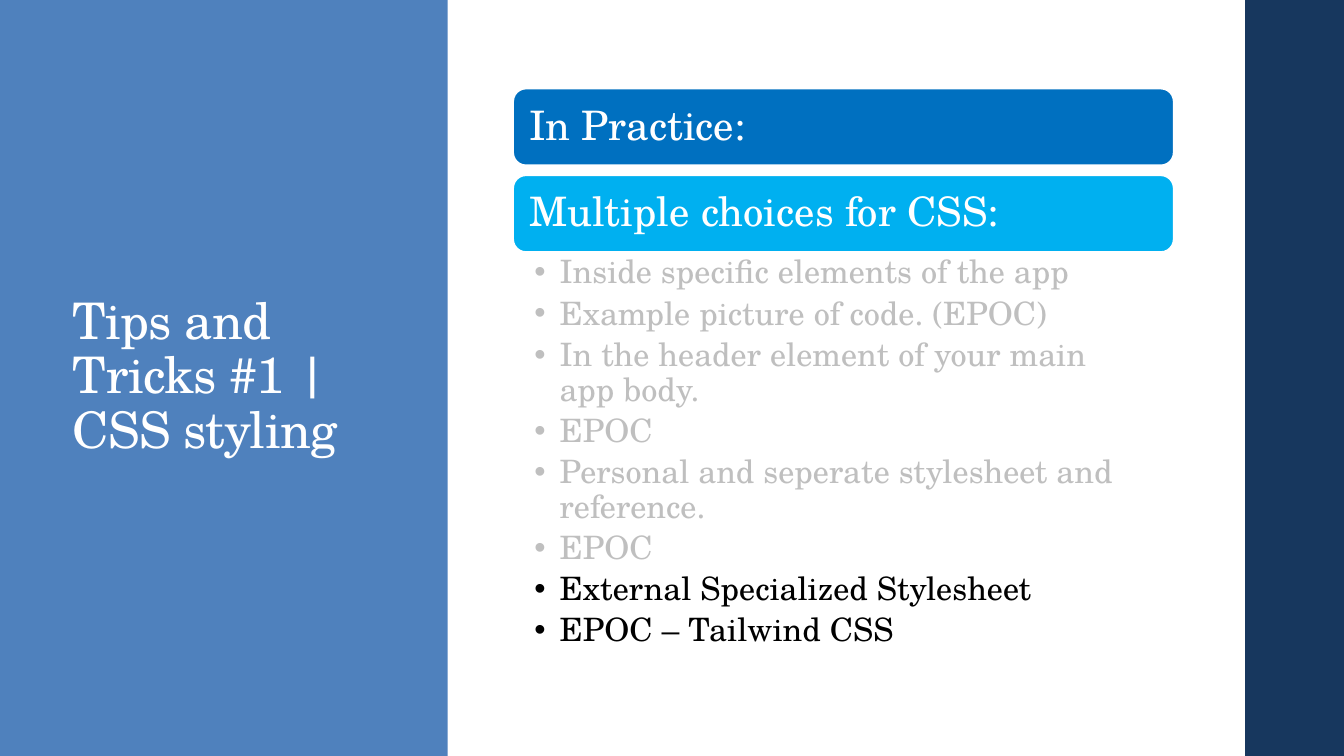
import pptx
import pptx.dml.color
import pptx.enum.shapes
import pptx.enum.text
import pptx.oxml
import pptx.oxml.ns
import pptx.util

Inches = pptx.util.Inches
Pt = pptx.util.Pt
Anchor = pptx.enum.text.MSO_ANCHOR
Shape = pptx.enum.shapes.MSO_SHAPE

COLORS = {
    "panel": "4F81BD",
    "strip": "17375E",
    "practice": "0070C0",
    "choices": "00B0F0",
    "white": "FFFFFF",
    "faded": "BFBFBF",
    "black": "000000",
}


def color(name):
    return pptx.dml.color.RGBColor.from_string(COLORS[name])


def write(para, text, size, ink, font="TeX Gyre Schola", after=0, spacing=None):
    """Put formatted text into a paragraph."""
    para.alignment = pptx.enum.text.PP_ALIGN.LEFT
    para.line_spacing = 0.9
    para.space_before = Pt(0)
    para.space_after = Pt(after)
    span = para.add_run()
    span.text = text
    span.font.name = font
    span.font.size = Pt(size)
    span.font.color.rgb = color(ink)
    if spacing is not None:
        span.font._element.set("spc", str(round(spacing * 100)))


class TipsSlide:
    """Holds the slide and draws its elements in one style."""

    def __init__(self, deck):
        self.page = deck.slides.add_slide(deck.slide_layouts[1])

    def block(self, kind, place, fill, outline=None):
        box = self.page.shapes.add_shape(kind, *map(Inches, place))
        box.shadow.inherit = False
        box.fill.solid()
        box.fill.fore_color.rgb = color(fill)
        if outline:
            box.line.color.rgb = color(outline)
            box.line.width = Pt(1.1)
        else:
            box.line.fill.background()
        return box

    def frame(self, box, anchor, margins):
        frame = box.text_frame
        frame.word_wrap = True
        frame.auto_size = pptx.enum.text.MSO_AUTO_SIZE.NONE
        frame.vertical_anchor = anchor
        (frame.margin_left, frame.margin_top,
         frame.margin_right, frame.margin_bottom) = map(Inches, margins)
        return frame

    def placeholder(self, index, place):
        box = self.page.placeholders[index]
        box.left, box.top, box.width, box.height = map(Inches, place)
        # Bring it in front of the colour blocks
        self.page.shapes._spTree.append(box._element)
        return box

    def title(self, text, place):
        box = self.placeholder(0, place)
        frame = self.frame(box, Anchor.MIDDLE, (0.1, 0.05, 0.1, 0.05))
        write(frame.paragraphs[0], text, 36, "white", spacing=-0.5)

    def bar(self, text, place, fill):
        box = self.block(Shape.ROUNDED_RECTANGLE, place, fill, "white")
        frame = self.frame(box, Anchor.MIDDLE, (0.12,) * 4)
        write(frame.paragraphs[0], text, 29, "white")

    def bullets(self, items, place):
        box = self.placeholder(1, place)
        frame = self.frame(box, Anchor.TOP, (0.21, 0.04, 0.23, 0.04))
        for number, (text, ink) in enumerate(items):
            para = frame.add_paragraph() if number else frame.paragraphs[0]
            write(para, text, 23, ink, after=4.6)
            props = para._element.get_or_add_pPr()
            props.set("marL", str(Inches(0.25)))
            props.set("indent", str(-Inches(0.25)))
            props.append(pptx.oxml.parse_xml(
                f'<a:buChar {pptx.oxml.ns.nsdecls("a")} char="•"/>'))


def main():
    deck = pptx.Presentation()
    deck.slide_width, deck.slide_height = Inches(13.33), Inches(7.5)
    slide = TipsSlide(deck)

    # Side panels and title
    slide.block(Shape.RECTANGLE, (0, 0, 4.44, 7.5), "panel")
    slide.block(Shape.RECTANGLE, (12.35, 0, 0.98, 7.5), "strip")
    slide.title("Tips and Tricks #1 | CSS styling", (0.62, 0.91, 2.97, 5.67))

    # Heading bars
    left, top, width, pitch = 5.09, 0.88, 6.55, 0.86
    bars = [("In Practice:", "practice"), ("Multiple choices for CSS:", "choices")]
    for row, (text, fill) in enumerate(bars):
        slide.bar(text, (left, top + row * pitch, width, 0.76), fill)

    # Choices, with the current ones in black
    faded = [
        "Inside specific elements of the app",
        "Example picture of code. (EPOC)",
        "In the header element of your main app body.",
        "EPOC",
        "Personal and seperate stylesheet and reference.",
        "EPOC",
    ]
    current = ["External Specialized Stylesheet", "EPOC – Tailwind CSS"]
    items = [(text, "faded") for text in faded] + [(text, "black") for text in current]
    slide.bullets(items, (left, 2.5, width, 4.14))

    deck.save("out.pptx")


if __name__ == "__main__":
    main()
